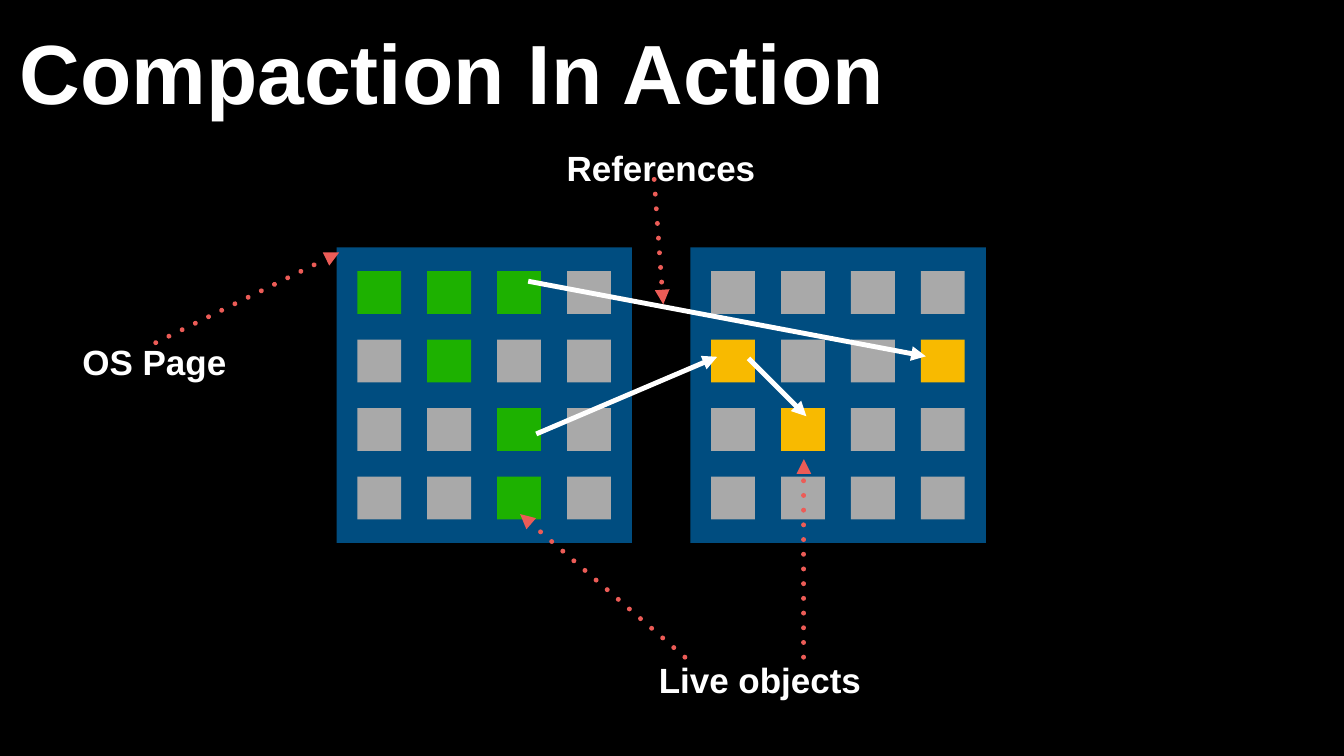
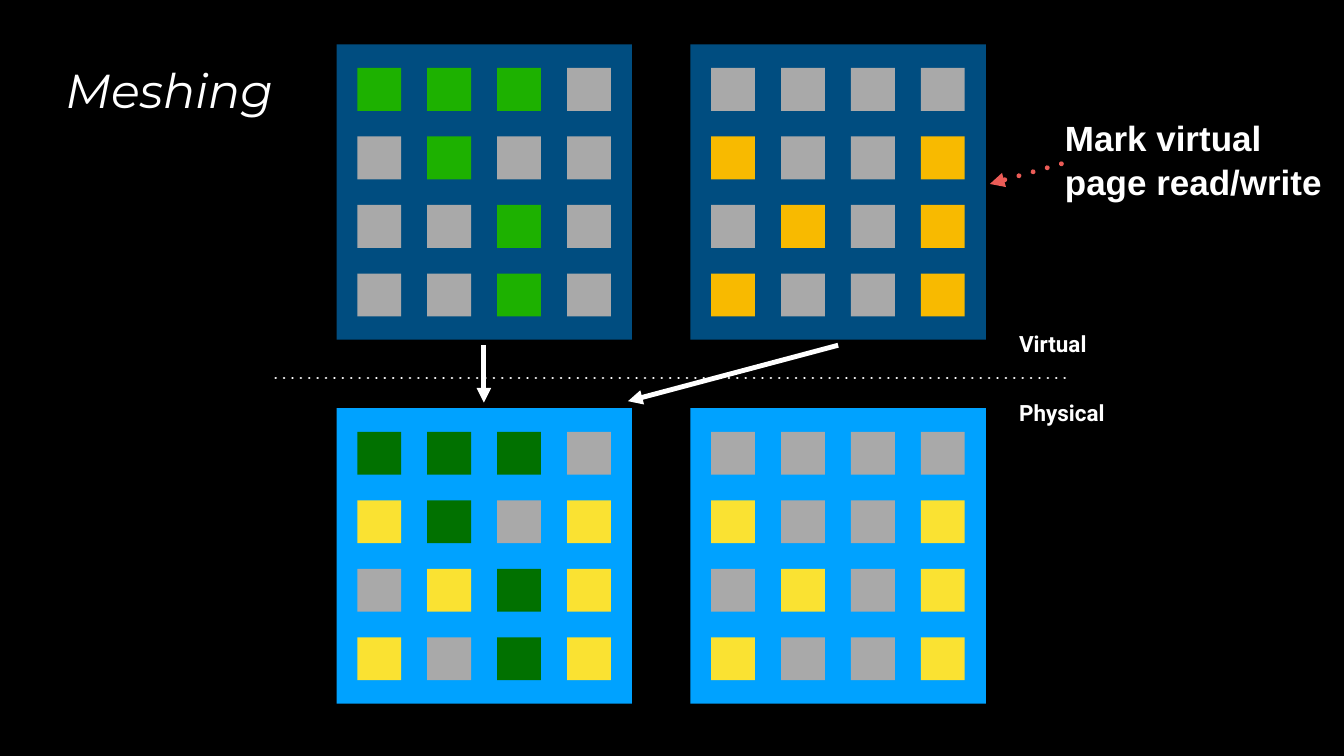
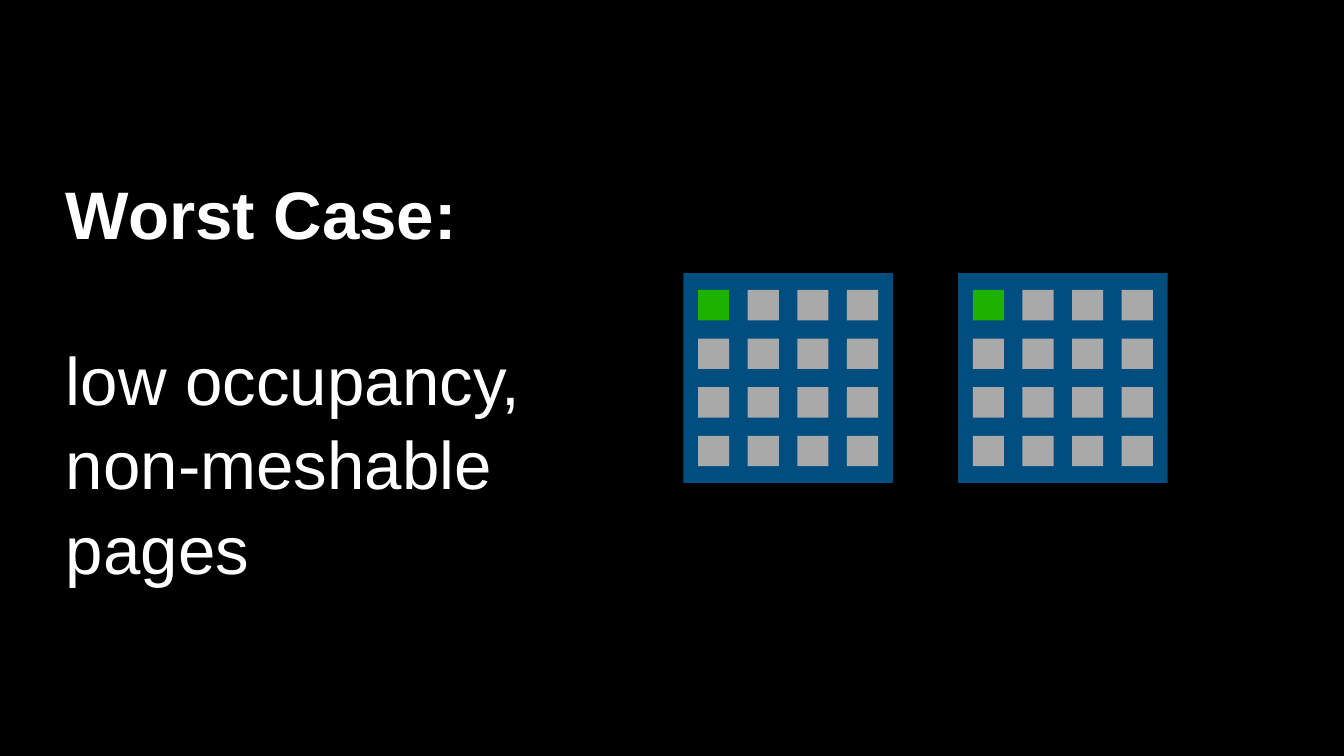
from lxml import etree
from pptx import Presentation
from pptx.dml.color import RGBColor
from pptx.enum.shapes import MSO_CONNECTOR, MSO_SHAPE
from pptx.enum.text import MSO_ANCHOR, MSO_AUTO_SIZE, PP_ALIGN
from pptx.oxml.ns import qn
from pptx.util import Inches, Pt

RECTANGLE = MSO_SHAPE.RECTANGLE
STRAIGHT = MSO_CONNECTOR.STRAIGHT
MIDDLE = MSO_ANCHOR.MIDDLE
GROW = MSO_AUTO_SIZE.SHAPE_TO_FIT_TEXT
LEFT, CENTER, RIGHT = PP_ALIGN.LEFT, PP_ALIGN.CENTER, PP_ALIGN.RIGHT

# The slide is a grid of square units, a third of an inch each.
COLUMNS, ROWS = 80, 45
UNIT = Inches(1) / 3

BLACK, WHITE, RED = "000000", "FFFFFF", "EC5C57"
VIRTUAL, PHYSICAL = "004D80", "00A2FF"
# Object slots of a page: free, green, dark green, orange, yellow.
SLOT_FILLS = {".": "A9A9A9", "G": "1DB100", "D": "017100",
              "O": "F8BA00", "Y": "FAE232"}

# Slot geometry as (horizontal, vertical) shares of the page side.
SLOT_START = (0.07, 0.08)
SLOT_STEP = (0.2367, 0.232)
SLOT_SIZE = (0.1485, 0.145)

PAGE_SIDE = 17.58
PAGE_LEFTS = (20.04, 41.1)
GREEN_PAGE = ("GGG.", ".G..", "..G.", "..G.")


def color(value):
    return RGBColor.from_string(value)


def units(*lengths):
    return [round(length * UNIT) for length in lengths]


class Deck:
    """Holds the shared style and draws on the current slide."""

    font = "Arial"
    label_size = 50
    line_width = 7
    inset = Inches(0.08)
    line_spacing = 1.05

    def __init__(self):
        self.deck = Presentation()
        self.deck.slide_width, self.deck.slide_height = units(COLUMNS, ROWS)
        self.slide = None

    def new_slide(self):
        self.slide = self.deck.slides.add_slide(self.deck.slide_layouts[6])
        fill = self.slide.background.fill
        fill.solid()
        fill.fore_color.rgb = color(BLACK)

    def rectangle(self, shapes, left, top, width, height, fill):
        shape = shapes.add_shape(RECTANGLE, *units(left, top, width, height))
        shape.shadow.inherit = False
        shape.fill.solid()
        shape.fill.fore_color.rgb = color(fill)
        shape.line.fill.background()

    def memory_page(self, left, top, fill, slots, side=PAGE_SIDE, grouped=False):
        """Draw a page square with one object slot per character of slots."""
        shapes = self.slide.shapes
        if grouped:
            shapes = shapes.add_group_shape().shapes
        self.rectangle(shapes, left, top, side, side, fill)
        for row, kinds in enumerate(slots):
            for column, kind in enumerate(kinds):
                x, y = (start + step * index for start, step, index
                        in zip(SLOT_START, SLOT_STEP, (column, row)))
                width, height = SLOT_SIZE
                self.rectangle(shapes, left + x * side, top + y * side,
                               width * side, height * side, SLOT_FILLS[kind])

    def line(self, start, end, stroke=WHITE, width=line_width,
             dotted=False, arrow=True):
        connector = self.slide.shapes.add_connector(
            STRAIGHT, *units(*start, *end))
        connector.line.width = Pt(width)
        connector.line.color.rgb = color(stroke)
        properties = connector._element.spPr
        outline = properties.find(qn("a:ln"))
        if dotted:
            outline.set("cap", "rnd")
            dashes = etree.SubElement(outline, qn("a:custDash"))
            etree.SubElement(dashes, qn("a:ds"), d="100000", sp="200000")
        if arrow:
            etree.SubElement(outline, qn("a:tailEnd"), type="triangle",
                             w="med", len="med")
        etree.SubElement(properties, qn("a:effectLst"))

    def pointer(self, start, end):
        """Draw a dotted red arrow from a label to what it names."""
        self.line(start, end, RED, dotted=True)

    def text(self, place, words, size=label_size, align=LEFT, font=font,
             bold=True, italic=False, wrap=False):
        box = self.slide.shapes.add_textbox(*units(*place))
        frame = box.text_frame
        frame.text = words
        frame.word_wrap = wrap
        frame.auto_size = GROW
        frame.vertical_anchor = MIDDLE
        frame.margin_left = frame.margin_right = self.inset
        frame.margin_top = frame.margin_bottom = self.inset
        for para in frame.paragraphs:
            para.alignment = align
            if len(frame.paragraphs) > 1:
                para.line_spacing = self.line_spacing
            for span in para.runs:
                span.font.name = font
                span.font.size = Pt(size)
                span.font.bold = bold
                span.font.italic = italic
                span.font.color.rgb = color(WHITE)
        return frame


def compaction_slide(deck):
    deck.new_slide()
    orange_page = ("....", "O..O", ".O..", "....")
    for left, slots in zip(PAGE_LEFTS, (GREEN_PAGE, orange_page)):
        deck.memory_page(left, 14.73, VIRTUAL, slots)

    references = (((31.44, 16.74), (55.11, 21.21)),
                  ((31.92, 25.83), (42.69, 21.24)),
                  ((44.55, 21.33), (48, 24.78)))
    for start, end in references:
        deck.line(start, end)

    deck.text((0.93, 0.99, 51.99, 6.48), "Compaction In Action", 120)
    labels = (("Live objects", 38.97, 38.94, 12.54),
              ("References", 33.48, 8.49, 11.73),
              ("OS Page", 4.65, 20.01, 9.09))
    for words, left, top, width in labels:
        deck.text((left, top, width, 2.97), words, align=CENTER)

    pointers = (((47.85, 39.12), (47.85, 27.33)),
                ((40.77, 39.12), (30.96, 30.6)),
                ((38.94, 10.68), (39.48, 18.12)),
                ((9.27, 20.4), (20.19, 15.03)))
    for start, end in pointers:
        deck.pointer(start, end)


def meshing_slide(deck):
    deck.new_slide()
    orange_page = ("....", "O..O", ".O.O", "O..O")
    meshed_page = ("DDD.", "YD.Y", ".YDY", "Y.DY")
    yellow_page = ("....", "Y..Y", ".Y.Y", "Y..Y")
    levels = ((2.64, VIRTUAL, (GREEN_PAGE, orange_page)),
              (24.3, PHYSICAL, (meshed_page, yellow_page)))
    for top, fill, pages in levels:
        for left, slots in zip(PAGE_LEFTS, pages):
            deck.memory_page(left, top, fill, slots)

    deck.line((16.41, 22.5), (63.6, 22.5), width=4, dotted=True, arrow=False)
    for words, top in (("Virtual", 19.41), ("Physical", 23.55)):
        deck.text((60.42, top, 6.75, 2.07), words, 32, font="Roboto", wrap=True)

    deck.line((28.8, 20.55), (28.8, 23.97))
    deck.line((49.89, 20.55), (37.38, 23.88))
    deck.text((3.39, 3.36, 13.11, 3.93), "Meshing", 68, RIGHT,
              font="Montserrat", bold=False, italic=True)
    deck.text((63.15, 6.69, 15.78, 5.46), "Mark virtual\npage read/write")
    deck.pointer((63.18, 9.75), (58.92, 10.95))


def worst_case_slide(deck):
    deck.new_slide()
    sparse_page = ("G...", "....", "....", "....")
    for left in (40.68, 57.03):
        deck.memory_page(left, 16.26, VIRTUAL, sparse_page, 12.48, grouped=True)

    frame = deck.text((3.69, 10.29, 33.12, 24.42),
                      "Worst Case:\nlow occupancy, non-meshable pages",
                      96, wrap=True)
    description = frame.paragraphs[1]
    description.space_before = Pt(116)
    description.runs[0].font.bold = False


def main():
    deck = Deck()
    compaction_slide(deck)
    meshing_slide(deck)
    worst_case_slide(deck)
    deck.deck.save("out.pptx")


if __name__ == "__main__":
    main()
